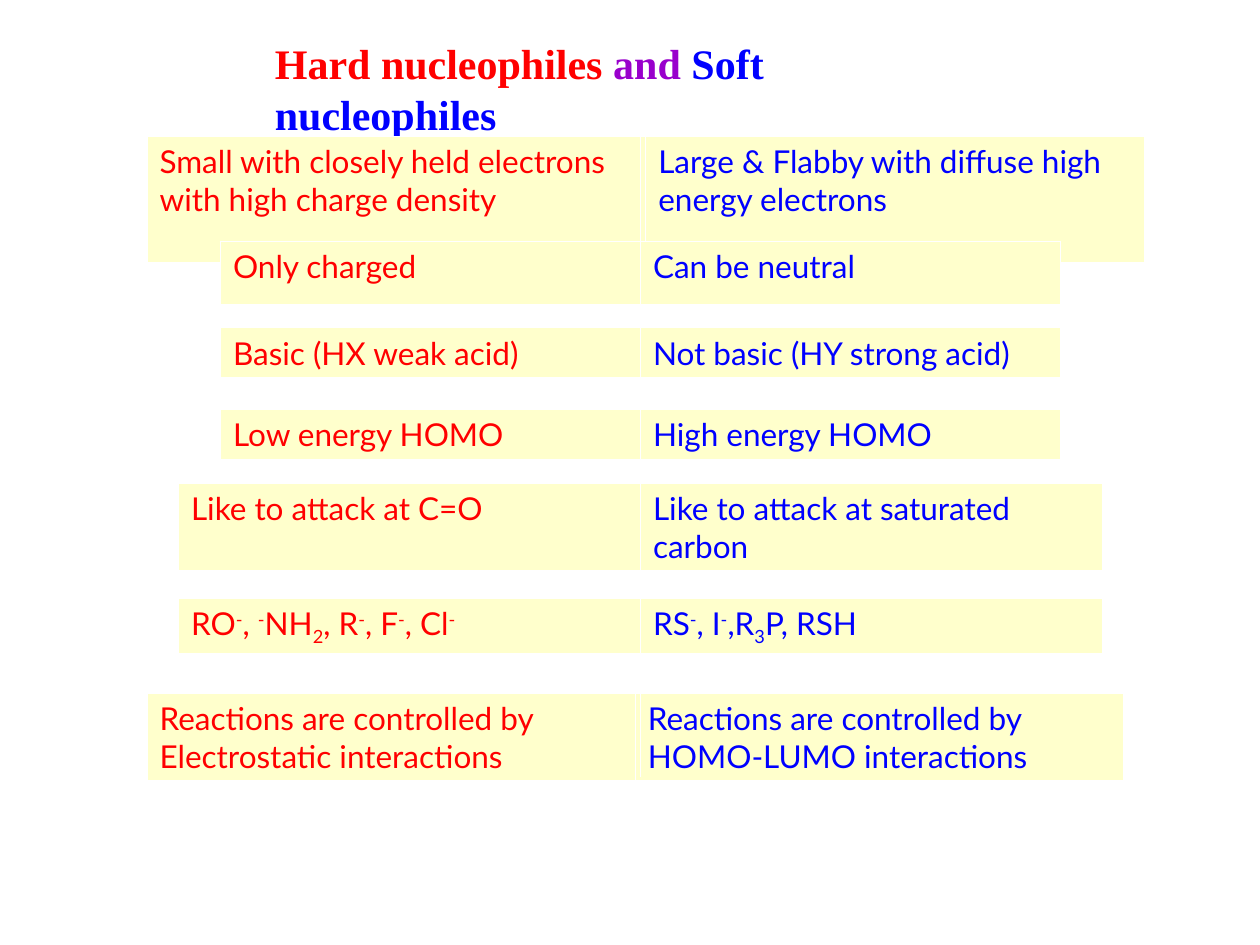
from lxml import etree
from pptx import Presentation
from pptx.dml.color import RGBColor
from pptx.enum.shapes import MSO_CONNECTOR
from pptx.enum.text import MSO_AUTO_SIZE
from pptx.oxml.ns import qn
from pptx.util import Emu, Pt

STRAIGHT = MSO_CONNECTOR.STRAIGHT
GROW = MSO_AUTO_SIZE.SHAPE_TO_FIT_TEXT
PX = 7620  # 120 px to the inch
BLANK_LAYOUT = 6

# Left, top, width, height, hard text, soft text.
# A bar splits runs; ^ raises a run and _ lowers it.
COMPARISONS = [
    (140, 130, 950, 120, "Small with closely held electrons with high charge density",
     "Large & Flabby with diffuse high energy electrons"),
    (210, 230, 800, 60, "Only charged", "Can be neutral"),
    (210, 312, 800, 48, "Basic (HX weak acid)", "Not basic (HY strong acid)"),
    (210, 390, 800, 48, "Low energy HOMO", "High energy HOMO"),
    (170, 460, 880, 84, "Like to attack at C=O", "Like to attack at saturated carbon"),
    (170, 570, 880, 53, "RO|^-|, |^-|NH|_2|, R|^-|, F|^-|, Cl|^-",
     "RS|^-|, I|^-|,R|_3|P, RSH"),
    (140, 660, 930, 84, "Reactions are controlled by Electrostatic interactions",
     "Reactions are controlled by HOMO-LUMO interactions"),
]


def px(length):
    return Emu(length * PX)


def color(value):
    return RGBColor.from_string(value)


class SlideBuilder:
    HARD, SOFT, JOINING = "FF0000", "0000FF", "9900CC"
    CELL, RULE = "FFFFCC", "FFFFFF"
    TITLE_FONT, BODY_FONT = "Times New Roman", "Lato"
    TITLE_SIZE, BODY_SIZE = 24, 18
    OUTER_BORDER, INNER_BORDER = 1.08, 0.45
    BASELINES = {"^": "30000", "_": "-25000"}

    def __init__(self, slide):
        self.slide = slide

    def run(self, paragraph, text, font, size, text_color, bold=False):
        run = paragraph.add_run()
        run.text = text
        run.font.name = font
        run.font.size = Pt(size)
        run.font.bold = bold
        run.font.color.rgb = color(text_color)
        return run

    def title(self, left, top, width, height, parts):
        box = self.slide.shapes.add_textbox(px(left), px(top), px(width), px(height))
        box.text_frame.word_wrap = False
        box.text_frame.auto_size = GROW
        for text, text_color in parts:
            self.run(box.text_frame.paragraphs[0], text, self.TITLE_FONT,
                     self.TITLE_SIZE, text_color, bold=True)

    def borders(self, cell, widths):
        """Draw left, right, top and bottom borders, which precede the fill."""
        properties = cell._tc.get_or_add_tcPr()
        for index, (side, width) in enumerate(zip("LRTB", widths)):
            line = etree.Element(qn(f"a:ln{side}"), w=str(Pt(width)))
            fill = etree.SubElement(line, qn("a:solidFill"))
            etree.SubElement(fill, qn("a:srgbClr"), val=self.RULE)
            properties.insert(index, line)

    def cell(self, cell, text, text_color, widths):
        cell.fill.solid()
        cell.fill.fore_color.rgb = color(self.CELL)
        self.borders(cell, widths)
        paragraph = cell.text_frame.paragraphs[0]
        paragraph.space_before = Pt(4.5)
        for piece in text.split("|"):
            baseline = self.BASELINES.get(piece[0])
            run = self.run(paragraph, piece[1:] if baseline else piece,
                           self.BODY_FONT, self.BODY_SIZE, text_color)
            if baseline:
                run.font._element.set("baseline", baseline)

    def comparison(self, left, top, width, height, hard, soft):
        table = self.slide.shapes.add_table(
            1, 2, px(left), px(top), px(width), px(height)).table
        table.first_row = False
        table.horz_banding = False
        outer, inner = self.OUTER_BORDER, self.INNER_BORDER
        self.cell(table.cell(0, 0), hard, self.HARD, (outer, inner, outer, outer))
        self.cell(table.cell(0, 1), soft, self.SOFT, (inner, outer, outer, outer))

    def divider(self, x, top, bottom):
        line = self.slide.shapes.add_connector(STRAIGHT, px(x), px(top), px(x), px(bottom))
        line.line.color.rgb = color(self.RULE)
        line.line.width = Pt(0.75)
        etree.SubElement(line._element.spPr, qn("a:effectLst"))


def main():
    presentation = Presentation()
    presentation.slide_width, presentation.slide_height = px(1200), px(900)
    slide = presentation.slides.add_slide(presentation.slide_layouts[BLANK_LAYOUT])
    builder = SlideBuilder(slide)
    builder.title(250, 30, 710, 60, [
        ("Hard nucleophiles", builder.HARD),
        (" and ", builder.JOINING),
        ("Soft nucleophiles", builder.SOFT),
    ])
    for comparison in COMPARISONS:
        builder.comparison(*comparison)
    builder.divider(610, 120, 740)
    presentation.save("out.pptx")


if __name__ == "__main__":
    main()
